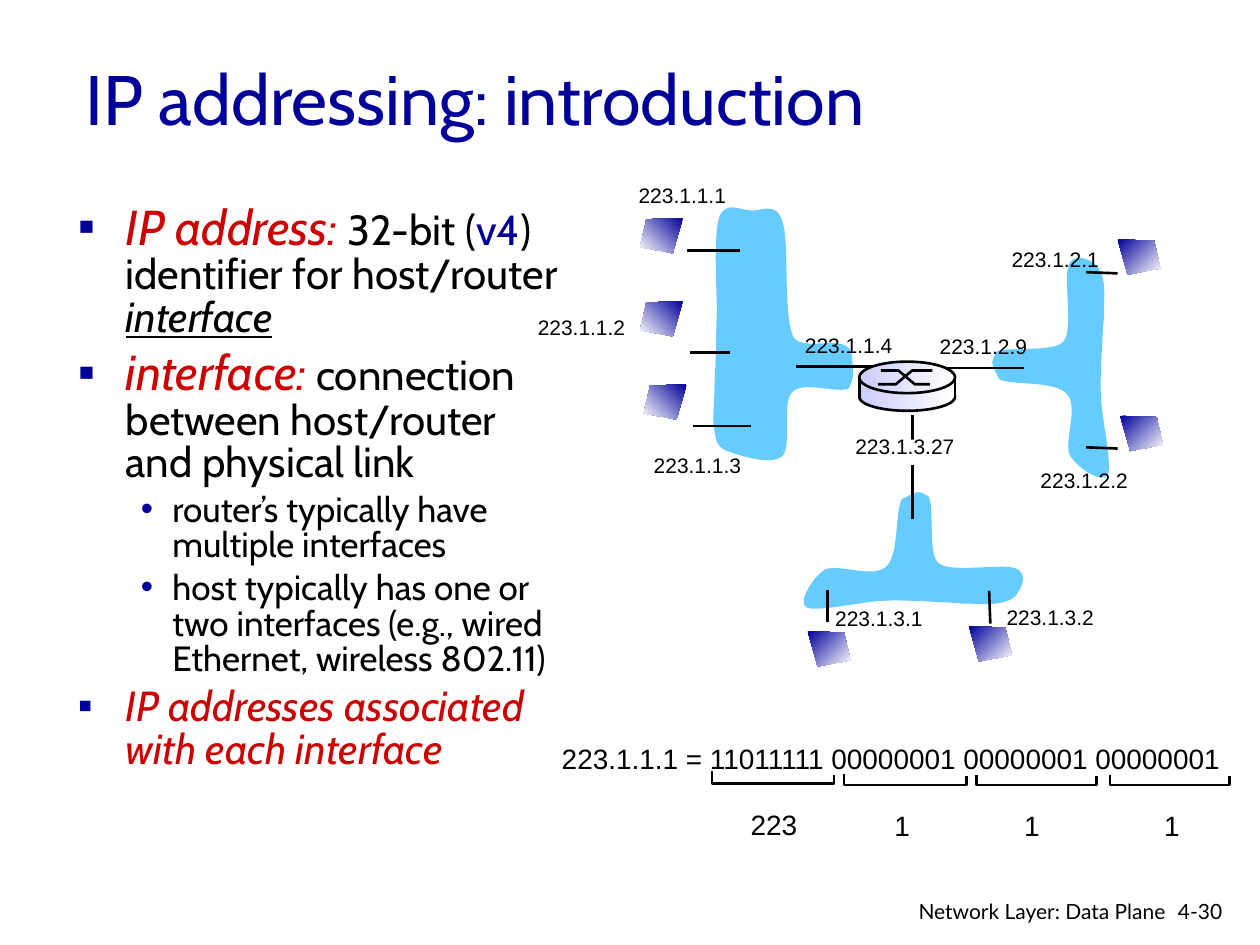
from lxml.etree import SubElement
from pptx import Presentation
from pptx.dml.color import RGBColor
from pptx.enum.shapes import MSO_CONNECTOR, MSO_SHAPE
from pptx.enum.text import MSO_ANCHOR, PP_ALIGN
from pptx.oxml.ns import qn
from pptx.util import Inches, Pt

NAVY, RED, BLACK, WHITE = "000099", "CC0000", "000000", "FFFFFF"
SKY, LILAC = "66CCFF", "CCCCFF"

CLOUDS = [
    [(7.16, 3.96), (7.1, 4.05), (7.14, 4.39), (7.04, 4.49), (6.94, 4.6), (6.66, 4.47), (6.55, 4.52),
     (6.45, 4.58), (6.33, 4.78), (6.4, 4.82), (6.47, 4.86), (6.83, 4.78), (6.98, 4.77),
     (7.13, 4.76), (7.21, 4.77), (7.32, 4.77), (7.43, 4.78), (7.53, 4.78), (7.63, 4.79),
     (7.72, 4.79), (7.84, 4.8), (7.91, 4.79), (7.99, 4.78), (8.06, 4.75), (8.08, 4.7),
     (8.11, 4.66), (8.16, 4.55), (8.06, 4.51), (7.95, 4.47), (7.54, 4.55), (7.45, 4.47),
     (7.36, 4.4), (7.42, 4.01), (7.37, 3.94), (7.29, 3.9), (7.32, 3.88), (7.16, 3.96)],
    [(7.93, 3.01), (8.02, 3.06), (8.36, 3.02), (8.46, 3.12), (8.57, 3.22), (8.44, 3.5), (8.49, 3.61),
     (8.55, 3.72), (8.75, 3.84), (8.79, 3.77), (8.83, 3.7), (8.75, 3.34), (8.74, 3.18),
     (8.73, 3.03), (8.74, 2.95), (8.74, 2.85), (8.75, 2.74), (8.75, 2.63), (8.76, 2.54),
     (8.76, 2.44), (8.77, 2.33), (8.76, 2.25), (8.75, 2.18), (8.72, 2.11), (8.67, 2.08),
     (8.63, 2.06), (8.52, 2), (8.48, 2.11), (8.44, 2.21), (8.52, 2.63), (8.44, 2.71),
     (8.37, 2.8), (7.98, 2.75), (7.91, 2.79), (7.87, 2.88), (7.85, 2.85), (7.93, 3.01)],
    [(6.76, 2.82), (6.74, 2.63), (6.39, 2.8), (6.3, 2.68), (6.21, 2.5), (6.27, 1.92), (6.21, 1.76),
     (6.16, 1.59), (6.04, 1.68), (5.96, 1.67), (5.88, 1.67), (5.76, 1.59), (5.71, 1.72),
     (5.66, 1.86), (5.69, 2.3), (5.69, 2.48), (5.68, 2.66), (5.69, 2.71), (5.68, 2.81),
     (5.68, 2.92), (5.67, 3.03), (5.67, 3.12), (5.67, 3.22), (5.65, 3.33), (5.67, 3.41),
     (5.68, 3.48), (5.68, 3.54), (5.77, 3.58), (5.86, 3.61), (6.12, 3.7), (6.21, 3.62),
     (6.29, 3.54), (6.2, 3.19), (6.29, 3.11), (6.38, 3.02), (6.66, 3.13), (6.74, 3.08),
     (6.77, 3), (6.78, 3.01), (6.76, 2.82)],
]
LINKS = [(7.5, 2.92, 8.13, 2.92), (8.62, 2.16, 8.87, 2.17), (8.62, 3.55, 8.87, 3.56),
         (7.24, 3.29, 7.24, 4.12), (6.57, 4.94, 6.57, 4.68), (7.86, 4.95, 7.85, 4.69),
         (5.45, 1.99, 5.87, 1.99), (5.48, 2.8, 5.79, 2.8), (5.5, 3.38, 5.96, 3.38),
         (6.32, 2.91, 6.94, 2.91)]
LABELS = [("223.1.1.1", 4.97, 1.4), ("223.1.1.2", 4.17, 2.45), ("223.1.1.3", 5.09, 3.54),
          ("223.1.1.4", 6.29, 2.59), ("223.1.2.9", 7.36, 2.6), ("223.1.2.2", 8.16, 3.66),
          ("223.1.2.1", 7.93, 1.91), ("223.1.3.2", 7.89, 4.75), ("223.1.3.1", 6.53, 4.76)]
HOSTS = [(5.08, 1.73, True), (5.08, 2.39, True), (5.11, 3.05, True), (8.87, 1.9, False),
         (8.89, 3.3, False), (7.69, 4.97, False), (6.41, 5.01, False)]
BYTES = [("223", 5.65, 6.12, 6.22, 0.97, 5.86, 6.36, 0.57), ("1", 6.7, 6.14, 6.23, 0.97, 7, 6.37, 0.32),
         ("1", 7.75, 6.15, 6.23, 0.95, 8.03, 6.37, 0.32), ("1", 8.81, 6.15, 6.23, 0.95, 9.14, 6.37, 0.32)]
POINTS = [
    (0, [("IP address:", 28, RED, "i"), (" 32-bit (", 24, BLACK, ""), ("v4", 24, NAVY, ""),
         (") identifier for host/router ", 24, BLACK, ""), ("interface", 24, BLACK, "iu")]),
    (0, [("interface:", 28, RED, "i"),
         (" connection between host/router and physical link", 24, BLACK, "")]),
    (1, [("router’s typically have multiple interfaces", 20, BLACK, "")]),
    (1, [("host typically has one or two interfaces (e.g., wired Ethernet, wireless 802.11)",
          20, BLACK, "")]),
    (0, [("IP addresses associated with each interface", 24, RED, "i")]),
]


def color(code):
    """Turn a hex string into a colour."""
    return RGBColor.from_string(code)


def paint(shape, fill=None, line=None, angle=0):
    """Set fill (one colour, a gradient pair or none), line and no shadow."""
    shape.shadow.inherit = False
    if isinstance(fill, tuple):
        shape.fill.gradient()
        shape.fill.gradient_angle = angle
        for stop, code, place in zip(shape.fill.gradient_stops, fill, (0, 1)):
            stop.color.rgb = color(code)
            stop.position = place
    elif fill:
        shape.fill.solid()
        shape.fill.fore_color.rgb = color(fill)
    else:
        shape.fill.background()
    if line:
        shape.line.color.rgb = color(line)
        shape.line.width = Pt(1.5)
    else:
        shape.line.fill.background()


def add_form(slide, kind, left, top, width, height, fill, line=None):
    """Add a preset shape."""
    shape = slide.shapes.add_shape(kind, Inches(left), Inches(top), Inches(width), Inches(height))
    paint(shape, fill, line)


def add_path(slide, spots, fill=None, line=None, angle=0):
    """Add an outline through the spots, closed when it is filled."""
    ends = [(Inches(x), Inches(y)) for x, y in spots]
    pen = slide.shapes.build_freeform(*ends[0], scale=1.0)
    pen.add_line_segments(ends[1:], close=fill is not None)
    shape = pen.convert_to_shape()
    paint(shape, fill, line, angle)
    return shape


def add_cloud(slide, knots):
    """Add a network cloud, joining each three segments into one cubic curve."""
    shape = add_path(slide, knots, SKY)
    lines = list(shape._element.iter(qn("a:lnTo")))
    for i in range(0, len(lines), 3):
        curve = lines[i]
        curve.tag = qn("a:cubicBezTo")
        for line in lines[i + 1:i + 3]:
            curve.append(line[0])
            line.getparent().remove(line)


def add_link(slide, x1, y1, x2, y2):
    """Add a straight black line."""
    link = slide.shapes.add_connector(MSO_CONNECTOR.STRAIGHT, Inches(x1), Inches(y1),
                                      Inches(x2), Inches(y2))
    link.line.color.rgb = color(BLACK)
    link.line.width = Pt(1.5)
    SubElement(link._element.spPr, qn("a:effectLst"))


def add_frame(slide, left, top, width, height, wrap=False):
    """Add an empty text box and return its frame."""
    box = slide.shapes.add_textbox(Inches(left), Inches(top), Inches(width), Inches(height))
    box.text_frame.word_wrap = wrap
    return box.text_frame


def add_run(para, text, size, font, code=BLACK, marks=""):
    """Add a run; marks may hold i for italic and u for underline."""
    run = para.add_run()
    run.text = text
    run.font.size, run.font.name = Pt(size), font
    run.font.color.rgb = color(code)
    run.font.italic, run.font.underline = "i" in marks, "u" in marks


def add_text(slide, text, left, top, width, height=0.3, size=12, font="Arial"):
    """Add a one-line black text and return its paragraph."""
    para = add_frame(slide, left, top, width, height).paragraphs[0]
    add_run(para, text, size, font)
    return para


def add_points(slide):
    """Add the bullet list."""
    frame = add_frame(slide, 0.52, 1.58, 4.04, 5.08, wrap=True)
    for i, (level, runs) in enumerate(POINTS):
        para = frame.add_paragraph() if i else frame.paragraphs[0]
        props = para._p.get_or_add_pPr()
        margin, indent, sign = ((0.38, -0.38, "▪"), (0.75, -0.25, "•"))[level]
        props.set("marL", str(Inches(margin)))
        props.set("indent", str(Inches(indent)))
        SubElement(SubElement(props, qn("a:buClr")), qn("a:srgbClr"), val=NAVY)
        SubElement(props, qn("a:buFont"), typeface="Arial")
        SubElement(props, qn("a:buChar"), char=sign)
        para.level = level
        para.line_spacing = 0.85
        para.space_before = Pt(0.2 * runs[0][1] if i else 0)
        for text, size, code, marks in runs:
            add_run(para, text, size, "Cabin", code, marks)


def add_host(slide, x, y, flip):
    """Add a host screen, mirrored when flip is set."""
    spots = [(0, 0), (0.29, 0.01), (0.34, 0.23), (0.08, 0.28)]
    add_path(slide, [(x + (0.34 - dx if flip else dx), y + dy) for dx, dy in spots],
             (NAVY, WHITE), angle=225 if flip else 315)


def add_router(slide):
    """Add the router drum with its crossed paths."""
    shine = (LILAC, WHITE)
    add_form(slide, MSO_SHAPE.OVAL, 6.82, 3.04, 0.76, 0.22, shine, BLACK)
    add_form(slide, MSO_SHAPE.RECTANGLE, 6.82, 3.02, 0.76, 0.13, shine)
    add_form(slide, MSO_SHAPE.OVAL, 6.82, 2.87, 0.76, 0.25, shine, BLACK)
    add_path(slide, [(6.97, 3.05), (7.11, 3.05), (7.24, 2.94), (7.4, 2.94)], line=BLACK)
    add_path(slide, [(6.99, 2.94), (7.13, 2.94), (7.26, 3.05), (7.38, 3.05)], line=BLACK)
    for x in (6.82, 7.58):
        add_link(slide, x, 3, x, 3.16)


def main():
    """Build the slide and save it."""
    deck = Presentation()
    deck.slide_width, deck.slide_height = Inches(10), Inches(7.5)
    slide = deck.slides.add_slide(deck.slide_layouts[6])
    for knots in CLOUDS:
        add_cloud(slide, knots)
    title = add_frame(slide, 0.58, 0.25, 8.5, 1.04, wrap=True)
    title.vertical_anchor = MSO_ANCHOR.MIDDLE
    add_run(title.paragraphs[0], "IP addressing: introduction", 40, "Cabin", NAVY)
    add_points(slide)
    for ends in LINKS:
        add_link(slide, *ends)
    for x, y, width in ((4.27, 2.54, 0.91), (6.78, 3.49, 0.93)):
        add_form(slide, MSO_SHAPE.RECTANGLE, x, y, width, 0.2, WHITE)
    for text, left, top in LABELS:
        add_text(slide, text, left, top, 0.9)
    add_text(slide, "223.1.3.27", 6.69, 3.39, 1)
    add_text(slide, "223.1.1.1 = 11011111 00000001 00000001 00000001", 4.36, 5.84, 5.52, 0.37, 16)
    for text, x, y, low, span, left, top, width in BYTES:
        add_path(slide, [(x, y), (x, low), (x + span, low), (x + span, low - 0.07)], line=BLACK)
        add_text(slide, text, left, top, width, 0.37, 16)
    for host in HOSTS:
        add_host(slide, *host)
    add_router(slide)
    add_text(slide, "4-30", 9.25, 7.08, 0.61, font="Lato")
    footer = add_text(slide, "Network Layer: Data Plane", 6.97, 7.08, 2.38, font="Lato")
    footer.alignment = PP_ALIGN.RIGHT
    deck.save("out.pptx")


if __name__ == "__main__":
    main()
